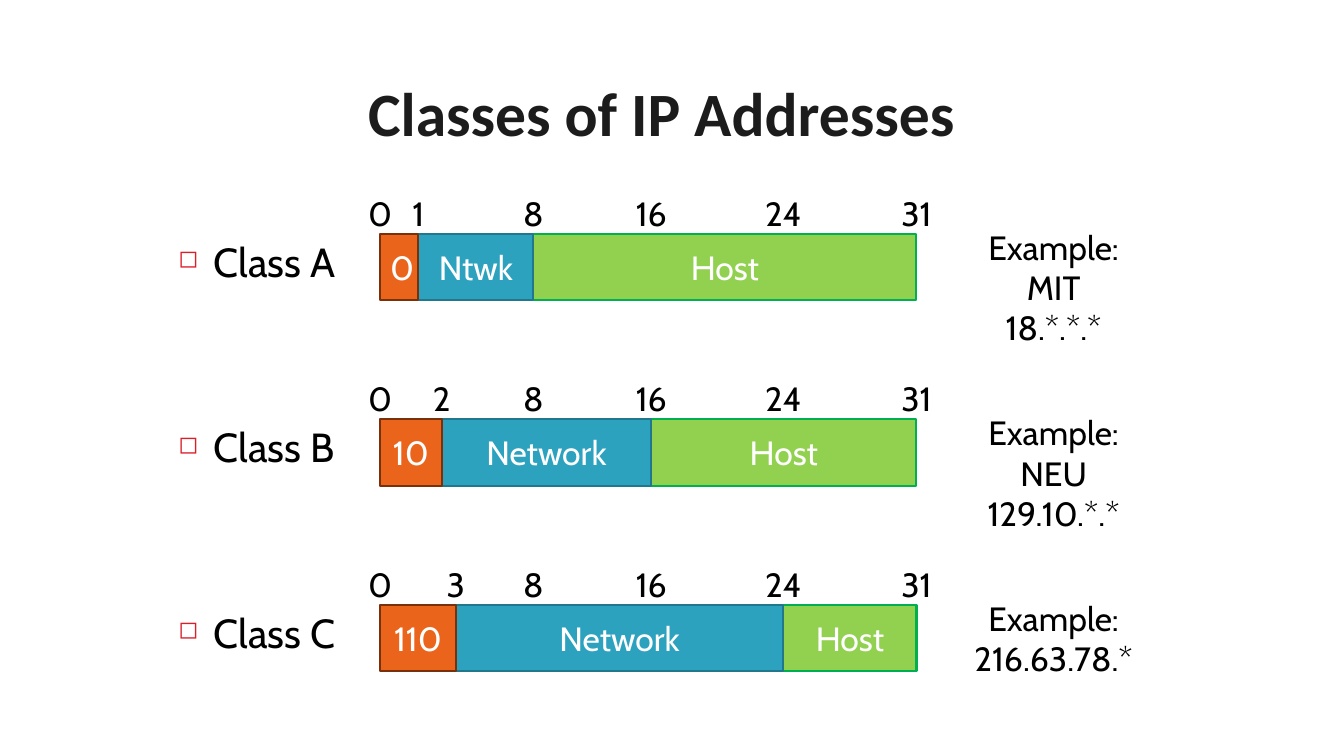
import pptx
import pptx.dml.color
import pptx.enum.shapes
import pptx.enum.text
import pptx.oxml
import pptx.oxml.ns
import pptx.util

Inches = pptx.util.Inches
Pt = pptx.util.Pt
ANCHOR = pptx.enum.text.MSO_ANCHOR
ALIGN = pptx.enum.text.PP_ALIGN

COLORS = {
    "title": "1C1C1C", "text": "000000", "inverse": "FFFFFF", "bullet": "DA1F28",
    "prefix": "EB641B", "prefix_line": "78310B",
    "network": "2DA2BF", "network_line": "21788D",
    "host": "92D050", "host_line": "00B050",
}
BIT_EDGES = {0: 3.77, 1: 4.15, 2: 4.38, 3: 4.52, 8: 5.29, 16: 6.46, 24: 7.77, 31: 9.09}
COMMON_BITS = (0, 8, 16, 24, 31)
FIRST_ROW, ROW_PITCH, BAR_HEIGHT = 2.32, 1.84, 0.66
LABEL_WIDTH = 0.65
EXAMPLE_CENTER = 10.45

ADDRESS_CLASSES = [
    {"name": "Class A", "prefix": "0", "network": "Ntwk", "bits": (0, 1, 8, 31),
     "example": ["Example: MIT", "18.*.*.*"], "example_width": 2.0},
    {"name": "Class B", "prefix": "10", "network": "Network", "bits": (0, 2, 16, 31),
     "example": ["Example: NEU", "129.10.*.*"], "example_width": 2.1},
    {"name": "Class C", "prefix": "110", "network": "Network", "bits": (0, 3, 24, 31),
     "example": ["Example:", "216.63.78.*"], "example_width": 1.93},
]


def rgb(name):
    return pptx.dml.color.RGBColor.from_string(COLORS[name])


class SlideBuilder:
    body = {"name": "Cabin", "size": Pt(24), "bold": False}
    heading = {"name": "Calibri", "size": Pt(44), "bold": True}
    class_name = {"name": "Cabin", "size": Pt(29), "bold": False}

    def __init__(self, slide):
        self.slide = slide

    def fill_text(self, shape, lines, style, color, anchor=ANCHOR.MIDDLE, align=ALIGN.CENTER):
        frame = shape.text_frame
        frame.word_wrap = True
        frame.vertical_anchor = anchor
        frame.text = "\n".join(lines)
        for paragraph in frame.paragraphs:
            paragraph.alignment = align
            for run in paragraph.runs:
                for attribute, value in style.items():
                    setattr(run.font, attribute, value)
                run.font.color.rgb = rgb(color)
        return frame

    def text(self, box, lines, style=body, color="text", **layout):
        shape = self.slide.shapes.add_textbox(*map(Inches, box))
        return self.fill_text(shape, lines, style, color, **layout)

    def title(self, box, text):
        frame = self.text(box, [text], self.heading, "title")
        frame.paragraphs[0].line_spacing = Pt(35)

    def bullet(self, box, text):
        frame = self.text(box, [text], self.class_name, anchor=ANCHOR.TOP, align=ALIGN.LEFT)
        properties = frame.paragraphs[0]._p.get_or_add_pPr()
        properties.set("marL", str(Inches(0.35)))
        properties.set("indent", str(-Inches(0.35)))
        namespace = pptx.oxml.ns.nsdecls("a")
        for element in (
            f'<a:buClr {namespace}><a:srgbClr val="{COLORS["bullet"]}"/></a:buClr>',
            f'<a:buSzPct {namespace} val="60000"/>',
            f'<a:buChar {namespace} char="◻"/>',
        ):
            properties.append(pptx.oxml.parse_xml(element))

    def field(self, kind, text, start, end, top):
        left, right = BIT_EDGES[start], BIT_EDGES[end]
        shape = self.slide.shapes.add_shape(
            pptx.enum.shapes.MSO_SHAPE.RECTANGLE,
            *map(Inches, (left, top, right - left, BAR_HEIGHT)))
        shape.shadow.inherit = False
        shape.fill.solid()
        shape.fill.fore_color.rgb = rgb(kind)
        shape.line.color.rgb = rgb(kind + "_line")
        shape.line.width = Pt(1.5)
        self.fill_text(shape, [text], self.body, "inverse")

    def bit_label(self, bit, top):
        left = BIT_EDGES[bit] - LABEL_WIDTH / 2
        self.text((left, top, LABEL_WIDTH, BAR_HEIGHT), [str(bit)])

    def address_class(self, entry, top):
        self.bullet((1.67, top - 0.02, 2.02, 0.59), entry["name"])
        start, prefix_end, network_end, end = entry["bits"]
        self.field("host", "Host", network_end, end, top)
        self.field("network", entry["network"], prefix_end, network_end, top)
        self.field("prefix", entry["prefix"], start, prefix_end, top)
        for bit in sorted({*COMMON_BITS, prefix_end}):
            self.bit_label(bit, top - 0.54)
        width = entry["example_width"]
        self.text((EXAMPLE_CENTER - width / 2, top - 0.12, width, 0.91),
                  entry["example"], anchor=ANCHOR.TOP)


def main():
    presentation = pptx.Presentation()
    presentation.slide_width = Inches(13.33)
    presentation.slide_height = Inches(7.5)
    builder = SlideBuilder(presentation.slides.add_slide(presentation.slide_layouts[6]))
    builder.title((0.58, 0.6, 11.97, 1.26), "Classes of IP Addresses")
    for row, entry in enumerate(ADDRESS_CLASSES):
        builder.address_class(entry, FIRST_ROW + row * ROW_PITCH)
    presentation.save("out.pptx")


if __name__ == "__main__":
    main()
